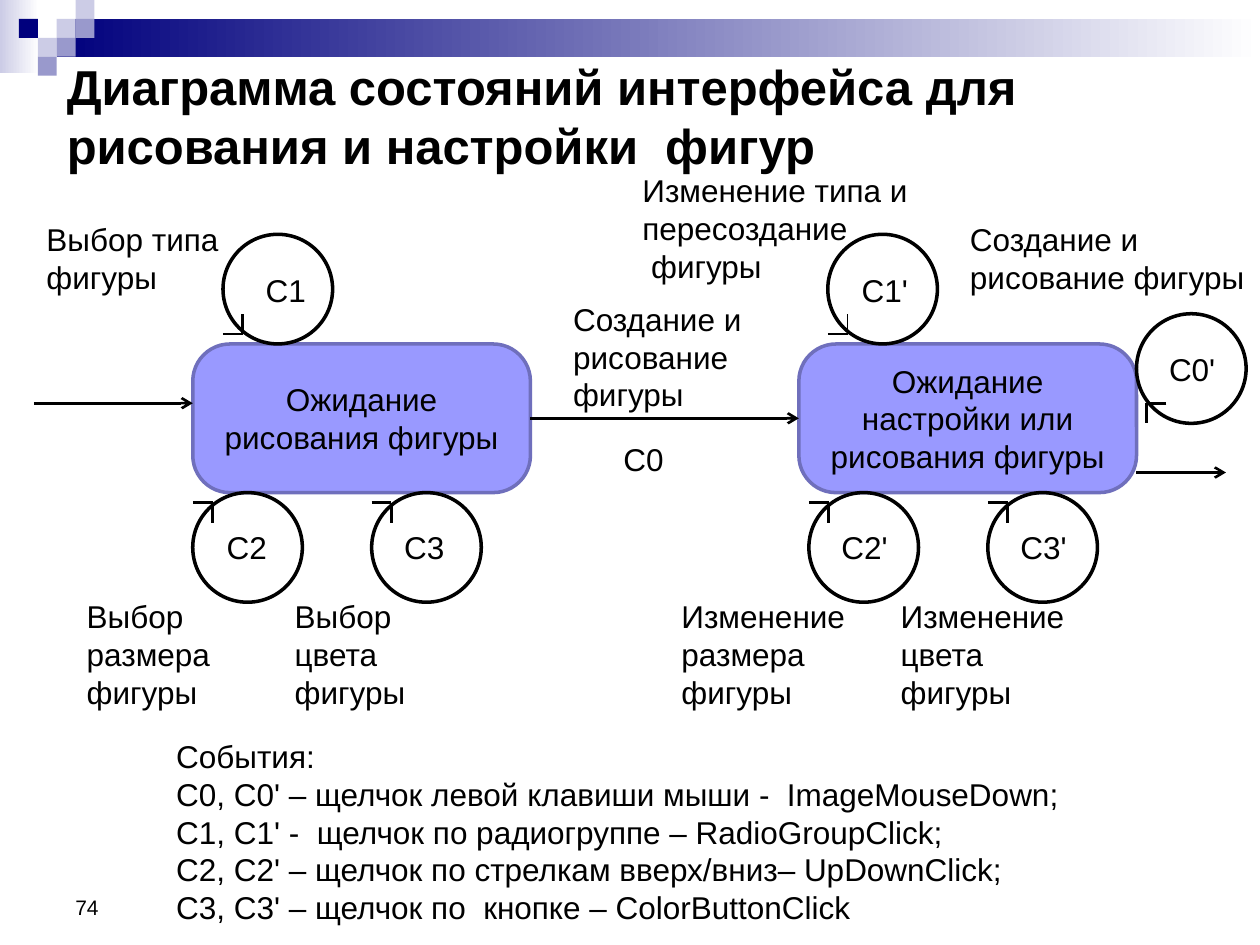
from lxml.etree import SubElement
from pptx import Presentation
from pptx.dml.color import RGBColor
from pptx.enum.shapes import MSO_CONNECTOR, MSO_SHAPE
from pptx.enum.text import MSO_ANCHOR, MSO_AUTO_SIZE, PP_ALIGN
from pptx.oxml.ns import qn
from pptx.util import Inches, Pt

BLACK = RGBColor(0x00, 0x00, 0x00)
WHITE = RGBColor(0xFF, 0xFF, 0xFF)
NAVY = RGBColor(0x00, 0x00, 0x7D)
PALE = RGBColor(0xCC, 0xCC, 0xE6)
MIDDLE = RGBColor(0x99, 0x99, 0xCC)
STATE_FILL = RGBColor(0x99, 0x99, 0xFF)
STATE_LINE = RGBColor(0x6F, 0x6F, 0xBC)

COLUMNS, ROWS = 100, 75
CELL = Inches(0.1)
TILE = 1.5
LOOP = 8.7
HOOK = 1.57
STATE_TOP, STATE_WIDTH, STATE_HEIGHT = 27.3, 26.8, 11.8
STATE_BOTTOM = STATE_TOP + STATE_HEIGHT

TILES = [(3, 0, PALE), (4, 0, PALE), (4, 1, MIDDLE), (2, 2, PALE),
         (1, 1, NAVY), (3, 2, MIDDLE), (2, 3, MIDDLE)]
TILE_PLACES = {(3, 0): (3, 1), (4, 0): (4, 0)}

STATES = [(15.3, "Ожидание рисования фигуры"),
          (63.4, "Ожидание настройки или рисования фигуры")]

TOP_HOOK = (HOOK, 7.9, -1, -1)
BOTTOM_HOOK = (HOOK, 0.8, -1, 1)
RIGHT_HOOK = (0.8, 7.1, 1, 1)
LOOPS = [
    (17.7, STATE_TOP - LOOP, TOP_HOOK, 1.5),
    (65.7, STATE_TOP - LOOP, TOP_HOOK, 0.75),
    (15.3, STATE_BOTTOM, BOTTOM_HOOK, 1.5),
    (29.5, STATE_BOTTOM, BOTTOM_HOOK, 1.5),
    (64.2, STATE_BOTTOM, BOTTOM_HOOK, 1.5),
    (78.4, STATE_BOTTOM, BOTTOM_HOOK, 1.5),
    (90.2, 24.9, RIGHT_HOOK, 1.5),
]

ARROWS = [(2.7, 15.3, 32), (42.1, 63.4, 33.2), (90.2, 97.3, 37.5)]

EVENT_NAMES = [
    (20.1, 21, "С1"), (67.4, 21, "С1'"), (48.5, 34.4, "С0"),
    (17, 41.4, "С2"), (31.1, 41.4, "С3"), (65.8, 41.4, "С2'"),
    (80, 41.4, "С3'"), (91.8, 27.3, "С0'"),
]

ACTIONS = [
    (2.7, 17, 15.8, 7, "Выбор типа фигуры"),
    (50, 13.1, 26.8, 10, "Изменение типа и пересоздание\n фигуры"),
    (76, 17, 24, 7, "Создание и рисование фигуры"),
    (44.5, 23.3, 16.5, 10, "Создание и рисование фигуры"),
    (5.9, 46.9, 15.7, 10, "Выбор размера фигуры"),
    (22.4, 46.9, 15.8, 10, "Выбор цвета\nфигуры"),
    (53.1, 46.9, 15.8, 10, "Изменение\vразмера фигуры"),
    (70.5, 46.9, 15.8, 10, "Изменение\vцвета\nфигуры"),
]

EVENTS = "\n".join([
    "События:",
    "C0, C0' – щелчок левой клавиши мыши -  ImageMouseDown;",
    "С1, С1' -  щелчок по радиогруппе – RadioGroupClick;",
    "С2, С2' – щелчок по стрелкам вверх/вниз– UpDownClick;",
    "С3, С3' – щелчок по  кнопке – ColorButtonClick",
])


def cells(*counts):
    return [round(count * CELL) for count in counts]


def write_text(frame, text, size=18, bold=False, align=PP_ALIGN.LEFT,
               anchor=MSO_ANCHOR.TOP, wrap=True):
    frame.text = text
    frame.word_wrap = wrap
    frame.auto_size = MSO_AUTO_SIZE.NONE
    frame.vertical_anchor = anchor
    for para in frame.paragraphs:
        para.alignment = align
        para.font.name = "Arial"
        para.font.size = Pt(size)
        para.font.bold = bold
        para.font.color.rgb = BLACK


def add_title(page, text):
    title = page.shapes.title
    title.left, title.top, title.width, title.height = cells(4.3, 6.8, 90, 4.7)
    write_text(title.text_frame, text, 28, True, anchor=MSO_ANCHOR.MIDDLE)


def add_label(page, left, top, width, height, text, **style):
    box = page.shapes.add_textbox(*cells(left, top, width, height))
    write_text(box.text_frame, text, **style)


def add_figure(page, kind, left, top, width, height, fill=None, line=None):
    figure = page.shapes.add_shape(kind, *cells(left, top, width, height))
    figure.shadow.inherit = False
    if fill is None:
        figure.fill.background()
    else:
        figure.fill.solid()
        figure.fill.fore_color.rgb = fill
    if line is None:
        figure.line.fill.background()
    else:
        figure.line.color.rgb = line
        figure.line.width = Pt(2)
    return figure


def add_fading_bar(page, left, top, width, height, color):
    bar = add_figure(page, MSO_SHAPE.RECTANGLE, left, top, width, height)
    bar.fill.gradient()
    bar.fill.gradient_angle = 0
    for stop, shade in zip(bar.fill.gradient_stops, (color, WHITE)):
        stop.color.rgb = shade


def add_line(page, start, end, weight=1.5, arrow=False):
    line = page.shapes.add_connector(
        MSO_CONNECTOR.STRAIGHT, *cells(*start, *end))
    line.line.color.rgb = BLACK
    line.line.width = Pt(weight)
    properties = line.element.spPr
    if arrow:
        SubElement(properties.find(qn("a:ln")), qn("a:tailEnd"), type="arrow")
    SubElement(properties, qn("a:effectLst"))


def add_state(page, left, text):
    state = add_figure(page, MSO_SHAPE.ROUNDED_RECTANGLE, left, STATE_TOP,
                       STATE_WIDTH, STATE_HEIGHT, STATE_FILL, STATE_LINE)
    state.adjustments[0] = 0.25
    write_text(state.text_frame, text, align=PP_ALIGN.CENTER,
               anchor=MSO_ANCHOR.MIDDLE)


def add_loop(page, left, top, hook, weight):
    add_figure(page, MSO_SHAPE.OVAL, left, top, LOOP, LOOP, line=BLACK)
    across, down, side, rise = hook
    corner = (left + across, top + down)
    add_line(page, (corner[0] + side * HOOK, corner[1]), corner, weight)
    add_line(page, (corner[0], corner[1] + rise * HOOK), corner, weight)


def add_header(page):
    add_fading_bar(page, 0, 0, 3.1, 5.8, PALE)
    add_fading_bar(page, 4.5, 1.5, 95.5, 3, NAVY)
    for column, row, color in TILES:
        column, row = TILE_PLACES.get((column, row), (column, row))
        add_figure(page, MSO_SHAPE.RECTANGLE, column * TILE, row * TILE,
                   TILE, TILE, color)


def main():
    deck = Presentation()
    deck.slide_width, deck.slide_height = cells(COLUMNS, ROWS)
    page = deck.slides.add_slide(deck.slide_layouts[5])
    add_header(page)
    add_title(page, "Диаграмма состояний интерфейса для "
                    "рисования и настройки  фигур")
    for state in STATES:
        add_state(page, *state)
    for loop in LOOPS:
        add_loop(page, *loop)
    for start, end, row in ARROWS:
        add_line(page, (start, row), (end, row), arrow=True)
    for left, top, name in EVENT_NAMES:
        add_label(page, left, top, 5.4, 4, name, wrap=False)
    for action in ACTIONS:
        add_label(page, *action)
    add_label(page, 13, 58, 73.2, 16, EVENTS)
    add_label(page, 5, 68.3, 23.3, 5.2, "74", size=12,
              anchor=MSO_ANCHOR.BOTTOM)
    deck.save("out.pptx")


if __name__ == "__main__":
    main()
